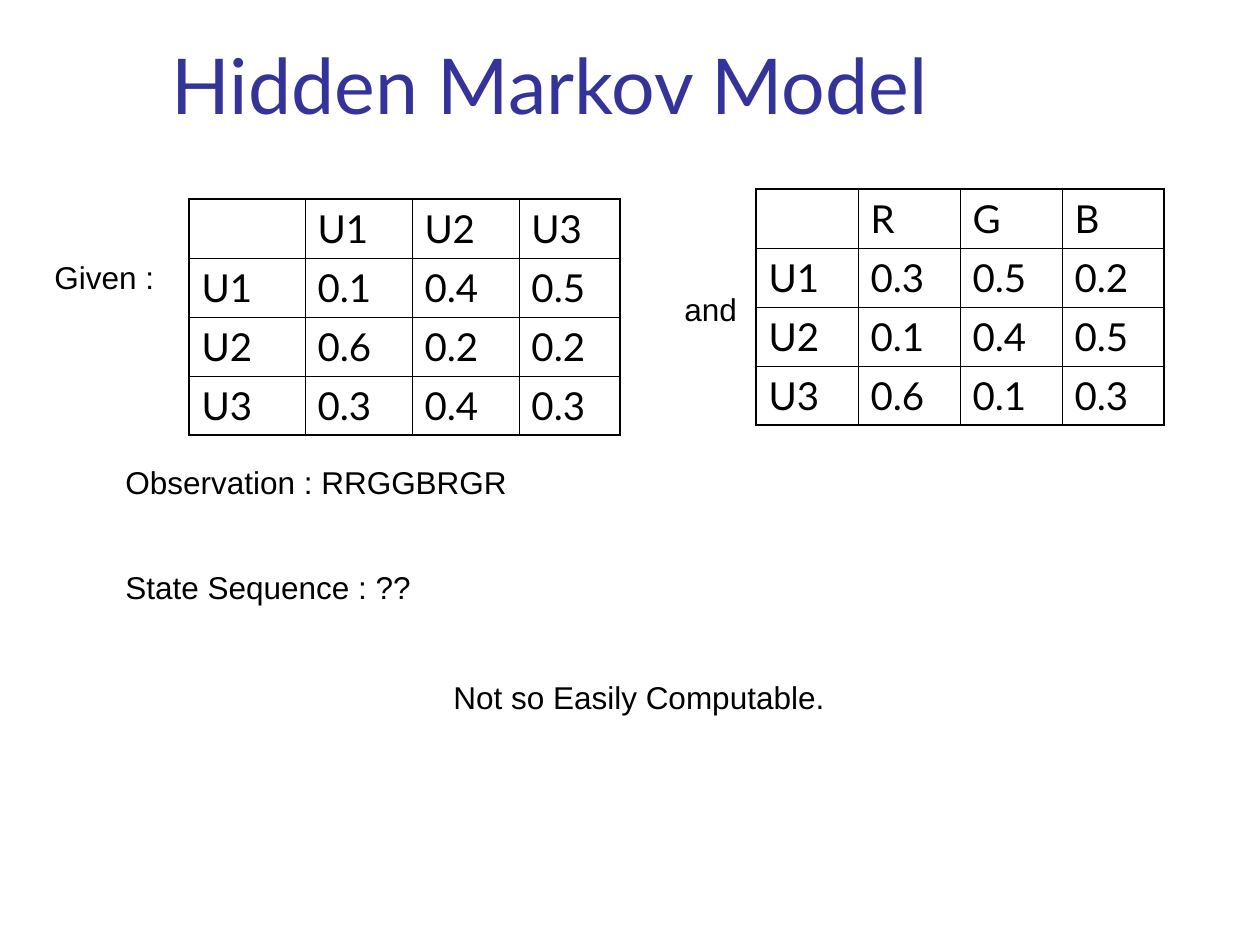
import pptx
import pptx.dml.color
import pptx.enum.text
import pptx.oxml.ns
import pptx.util
import lxml.etree

SCALE = 914400 // 126
COLORS = {"title": "333399", "ink": "000000"}
ROW_HEIGHT = 59
OUTER_LINE, INNER_LINE = 1.08, 0.45


def px(length):
    return pptx.util.Emu(length * SCALE)


def style_text(frame, size, font, color):
    for run in frame.paragraphs[0].runs:
        run.font.size = pptx.util.Pt(size)
        run.font.name = font
        run.font.color.rgb = pptx.dml.color.RGBColor.from_string(COLORS[color])


def add_title(slide, text):
    title = slide.shapes.title
    title.left, title.top, title.width, title.height = px(159), px(29), px(1073), px(107)
    frame = title.text_frame
    frame.text = text
    frame.word_wrap = True
    frame.vertical_anchor = pptx.enum.text.MSO_ANCHOR.BOTTOM
    frame.paragraphs[0].alignment = pptx.enum.text.PP_ALIGN.LEFT
    style_text(frame, 44, "Lato", "title")


def add_label(slide, text, left, top, width):
    frame = slide.shapes.add_textbox(px(left), px(top), px(width), px(50)).text_frame
    frame.text = text
    frame.word_wrap = True
    frame.auto_size = pptx.enum.text.MSO_AUTO_SIZE.SHAPE_TO_FIT_TEXT
    style_text(frame, 18, "Arial", "ink")


def set_borders(cell, widths):
    properties = cell._tc.get_or_add_tcPr()
    for side, width in widths.items():
        line = lxml.etree.SubElement(properties, pptx.oxml.ns.qn("a:ln" + side),
                                     w=str(pptx.util.Pt(width)))
        fill = lxml.etree.SubElement(line, pptx.oxml.ns.qn("a:solidFill"))
        lxml.etree.SubElement(fill, pptx.oxml.ns.qn("a:srgbClr"), val=COLORS["ink"])


def add_probabilities(slide, left, top, column_widths, rows):
    last_row, last_column = len(rows) - 1, len(column_widths) - 1
    table = slide.shapes.add_table(len(rows), len(column_widths), px(left), px(top),
                                   px(sum(column_widths)), px(ROW_HEIGHT * len(rows))).table
    table.first_row = table.horz_banding = False
    for column, width in zip(table.columns, column_widths):
        column.width = px(width)
    for r, values in enumerate(rows):
        table.rows[r].height = px(ROW_HEIGHT)
        for c, value in enumerate(values):
            cell = table.cell(r, c)
            cell.text_frame.text = value
            style_text(cell.text_frame, 22, "Lato", "ink")
            # The frame of the table is heavier than its grid
            outer = {"L": c == 0, "R": c == last_column, "T": r == 0, "B": r == last_row}
            set_borders(cell, {side: OUTER_LINE if edge else INNER_LINE
                               for side, edge in outer.items()})
            cell.fill.background()


def main():
    deck = pptx.Presentation()
    deck.slide_width, deck.slide_height = px(1260), px(945)
    slide = deck.slides.add_slide(deck.slide_layouts[5])
    add_title(slide, "Hidden Markov Model")

    # Transition probabilities between urns
    add_probabilities(slide, 189, 199, [116, 107, 107, 101], [
        ["", "U1", "U2", "U3"],
        ["U1", "0.1", "0.4", "0.5"],
        ["U2", "0.6", "0.2", "0.2"],
        ["U3", "0.3", "0.4", "0.3"],
    ])

    # Emission probabilities of the colours
    add_probabilities(slide, 756, 189, [102] * 4, [
        ["", "R", "G", "B"],
        ["U1", "0.3", "0.5", "0.2"],
        ["U2", "0.1", "0.4", "0.5"],
        ["U3", "0.6", "0.1", "0.3"],
    ])

    # Problem statement
    for label in [
        ("Given :", 42, 252, 130),
        ("and", 672, 284, 82),
        ("Observation : RRGGBRGR", 113, 457, 412),
        ("State Sequence : ??", 113, 562, 316),
        ("Not so Easily Computable.", 441, 672, 402),
    ]:
        add_label(slide, *label)

    deck.save("out.pptx")


main()
